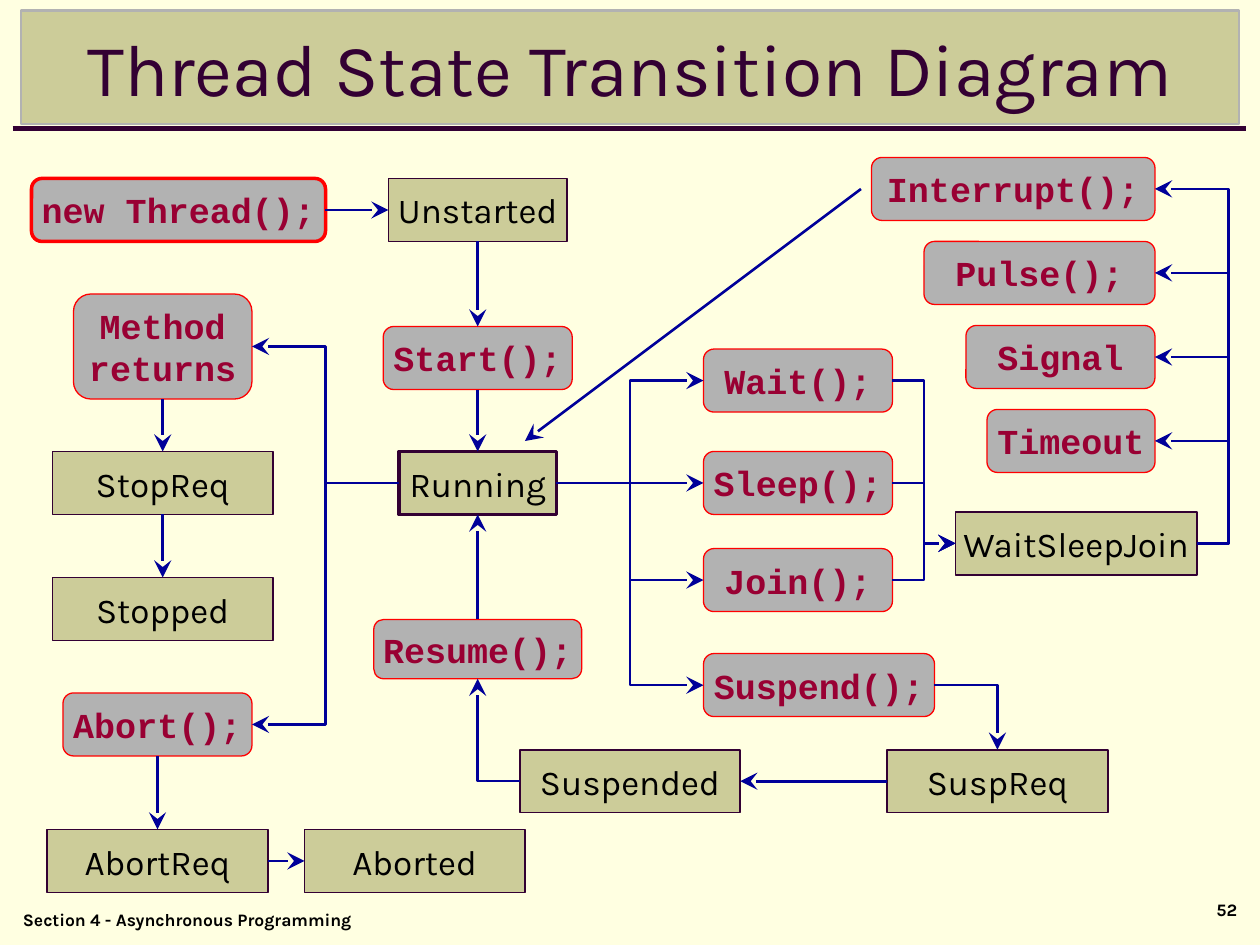
from lxml import etree
from pptx import Presentation
from pptx.dml.color import RGBColor
from pptx.enum.shapes import MSO_CONNECTOR, MSO_SHAPE
from pptx.enum.text import MSO_ANCHOR, PP_ALIGN
from pptx.oxml.ns import qn
from pptx.util import Inches, Pt

RECT, ROUND = MSO_SHAPE.RECTANGLE, MSO_SHAPE.ROUNDED_RECTANGLE
LINE, ELBOW = MSO_CONNECTOR.STRAIGHT, MSO_CONNECTOR.ELBOW
MID = MSO_ANCHOR.MIDDLE
LEFT, CENTER, RIGHT = PP_ALIGN.LEFT, PP_ALIGN.CENTER, PP_ALIGN.RIGHT
TOP, WEST, BASE, EAST = range(4)
INK = {key: RGBColor.from_string(code) for key, code in {
    "page": "FFFFE1", "state": "CCCC99", "call": "B2B2B2", "plum": "330033",
    "red": "FF0000", "wine": "990033", "navy": "000099", "black": "000000",
}.items()}

deck = Presentation()
deck.slide_width, deck.slide_height = Inches(10), Inches(7.5)
CELL = deck.slide_width / 120
slide = deck.slides.add_slide(deck.slide_layouts[6])
slide.background.fill.solid()
slide.background.fill.fore_color.rgb = INK["page"]
shapes = slide.shapes


def write(frame, text, size, font, ink, bold=False, align=CENTER):
    for i, row in enumerate(text.split("\n")):
        para = frame.paragraphs[0] if i == 0 else frame.add_paragraph()
        para.alignment = align
        run = para.add_run()
        run.text = row
        run.font.size, run.font.name, run.font.bold = Pt(size), font, bold
        run.font.color.rgb = INK[ink]


def link(kind, ends, ink="navy", width=1.5, head=True):
    line = shapes.add_connector(kind, *[round(n * CELL) for n in ends])
    line.line.color.rgb, line.line.width = INK[ink], Pt(width)
    props = line._element.spPr
    if head:
        etree.SubElement(props.find(qn("a:ln")), qn("a:tailEnd"), type="stealth", w="lg", len="lg")
    etree.SubElement(props, qn("a:effectLst"))
    return line


link(LINE, (1.2, 12.25, 118.7, 12.25), "plum", 3, False)

# name, column, row, columns wide, rows high, line width
states = [
    ("Unstarted", 37, 17, 17, 6, 1),
    ("Running", 38, 43, 15, 6, 2),
    ("StopReq", 5, 43, 21, 6, 1),
    ("Stopped", 5, 55, 21, 6, 1),
    ("AbortReq", 4.5, 79, 21, 6, 1),
    ("Aborted", 29, 79, 21, 6, 1),
    ("WaitSleepJoin", 91, 48.75, 23, 6, 1),
    ("SuspReq", 84.5, 71.4, 21, 6, 1),
    ("Suspended", 49.5, 71.4, 21, 6, 1),
]
calls = [
    ("new Thread();", 3, 17, 28, 6, 2),
    ("Start();", 36.5, 31.1, 18, 6, 0.75),
    ("Resume();", 35.6, 59, 19.8, 5.65, 0.75),
    ("Method\nreturns", 7, 28, 17, 10, 0.75),
    ("Abort();", 6, 66, 18, 6, 0.75),
    ("Wait();", 67, 33.25, 18, 6, 0.75),
    ("Sleep();", 67, 43, 18, 6, 0.75),
    ("Join();", 67, 52.25, 18, 6, 0.75),
    ("Suspend();", 67, 62.25, 22, 6, 0.75),
]
wakes = [("Interrupt();", 27), ("Pulse();", 22), ("Signal", 18), ("Timeout", 16)]
calls += [(name, 110 - wide, 15 + 8 * i, wide, 6, 0.75) for i, (name, wide) in enumerate(wakes)]
title = [("Thread State Transition Diagram", 2, 1, 116, 10.8, 1.5)]

nodes = {}
for group, form, fill, edge, style in (
    (title, RECT, "state", "call", (42, "Karla", "plum")),
    (states, RECT, "state", "plum", (20, "Karla", "black")),
    (calls, ROUND, "call", "red", (20, "Courier New", "wine", True)),
):
    for name, col, row, wide, high, width in group:
        node = shapes.add_shape(form, *[round(n * CELL) for n in (col, row, wide, high)])
        node.shadow.inherit = False
        node.fill.solid()
        node.fill.fore_color.rgb = INK[fill]
        node.line.color.rgb, node.line.width = INK[edge], Pt(width)
        node.text_frame.vertical_anchor = MID
        node.text_frame.word_wrap = group is title
        write(node.text_frame, name, *style)
        nodes[name] = node

paths = [
    ("new Thread();", EAST, "Unstarted", WEST, LINE),
    ("Unstarted", BASE, "Start();", TOP, LINE),
    ("Start();", BASE, "Running", TOP, LINE),
    ("Resume();", TOP, "Running", BASE, LINE),
    ("Method\nreturns", BASE, "StopReq", TOP, LINE),
    ("StopReq", BASE, "Stopped", TOP, LINE),
    ("Abort();", BASE, "AbortReq", TOP, LINE),
    ("AbortReq", EAST, "Aborted", WEST, LINE),
    ("SuspReq", WEST, "Suspended", EAST, LINE),
    ("Running", EAST, "Sleep();", WEST, LINE),
    ("Suspend();", EAST, "SuspReq", TOP, ELBOW),
    ("Suspended", WEST, "Resume();", BASE, ELBOW),
]
paths += [("Running", WEST, name, EAST, ELBOW) for name in ("Method\nreturns", "Abort();")]
paths += [("Running", EAST, name, WEST, ELBOW) for name in ("Wait();", "Join();", "Suspend();")]
paths += [(name, EAST, "WaitSleepJoin", WEST, ELBOW) for name in ("Wait();", "Sleep();", "Join();")]
paths += [("WaitSleepJoin", EAST, name, EAST, ELBOW) for name, wide in wakes]

for start, out, end, into, kind in paths:
    line = link(kind, (0, 0, 1, 1))
    line.begin_connect(nodes[start], out)
    line.end_connect(nodes[end], into)
    geom = line._element.spPr.find(qn("a:prstGeom"))
    if kind == ELBOW and into in (TOP, BASE):
        geom.set("prst", "bentConnector2")
    if out == into:
        etree.SubElement(geom.find(qn("a:avLst")), qn("a:gd"), name="adj1", fmla="val -75000")

link(LINE, (82, 18, 50, 42))

for text, col, row, wide, high, align in (
    ("Section 4 - Asynchronous Programming", 1, 86, 64, 3, LEFT),
    ("52", 94, 85, 25, 4, RIGHT),
):
    note = shapes.add_textbox(*[round(n * CELL) for n in (col, row, wide, high)])
    note.text_frame.word_wrap = True
    write(note.text_frame, text, 10, "Karla", "black", True, align)

deck.save("out.pptx")
